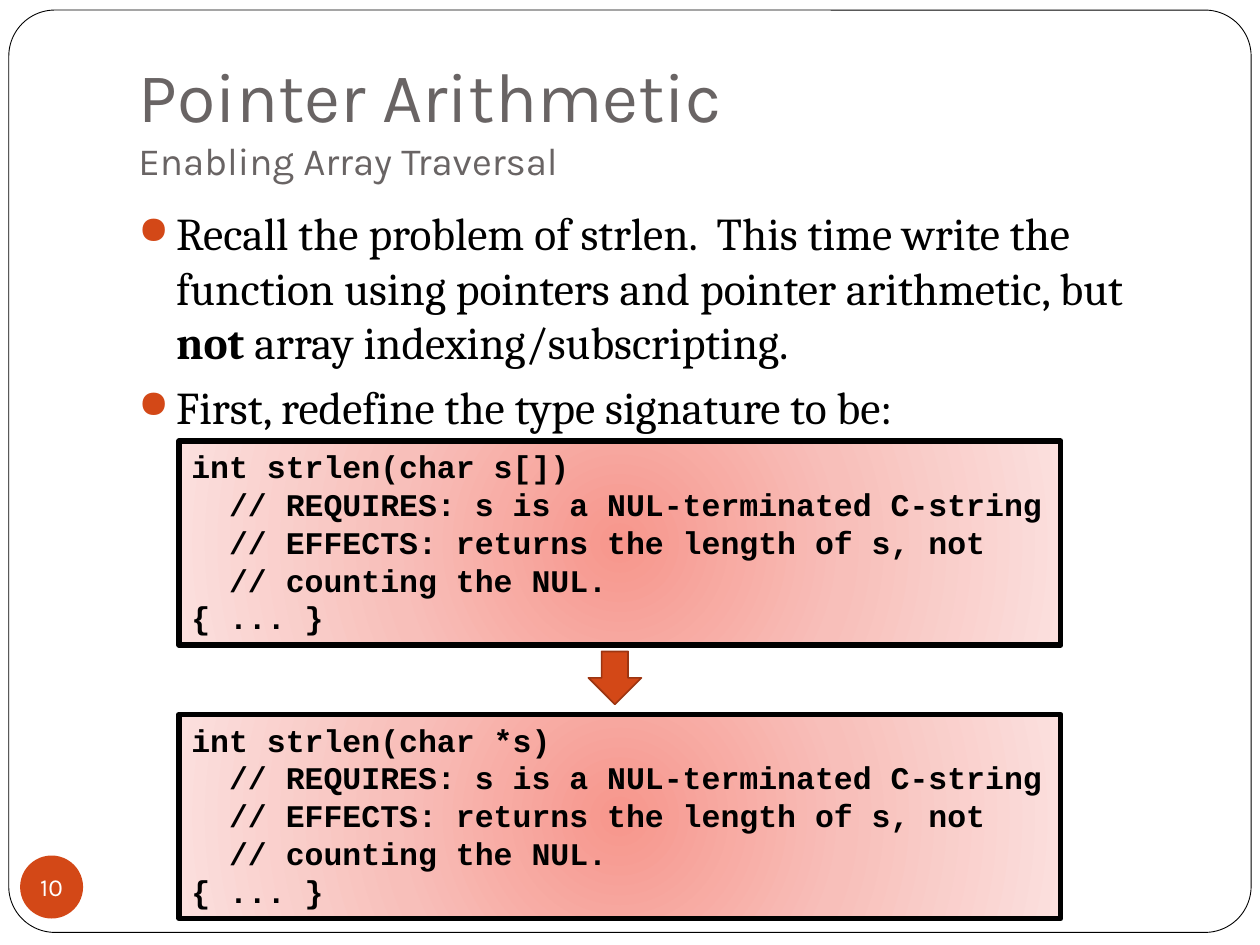
import pptx
import pptx.util
import pptx.dml.color
import pptx.enum.shapes
import pptx.enum.text
import pptx.oxml
import pptx.oxml.ns
import lxml.etree

Inches = pptx.util.Inches
Pt = pptx.util.Pt
Shape = pptx.enum.shapes.MSO_SHAPE
Anchor = pptx.enum.text.MSO_ANCHOR
Align = pptx.enum.text.PP_ALIGN

COLORS = {
    "paper": "FFFFFF",
    "ink": "000000",
    "heading": "696464",
    "accent": "D34817",
    "accent_edge": "9C3511",
}
CODE_GRADIENT = [(0, "F7968C"), (50, "F8BFBA"), (100, "FBE0DE")]
CODE_COMMENTS = [
    "  // REQUIRES: s is a NUL-terminated C-string",
    "  // EFFECTS: returns the length of s, not",
    "  // counting the NUL.",
    "{ ... }",
]


class SlideBuilder:
    heading_font = "Karla"
    body_font = "Cambria"
    code_font = "Courier New"

    def __init__(self, deck):
        self.page = deck.slides.add_slide(deck.slide_layouts[6])

    def color(self, name):
        return pptx.dml.color.RGBColor.from_string(COLORS[name])

    def span(self, para, text, font, size, color, bold=False):
        span = para.add_run()
        span.text = text
        span.font.name = font
        span.font.size = Pt(size)
        span.font.bold = bold
        span.font.color.rgb = self.color(color)

    def shape(self, kind, area, fill=None, line=None, width=1):
        box = self.page.shapes.add_shape(kind, *map(Inches, area))
        box.shadow.inherit = False
        if fill:
            box.fill.solid()
            box.fill.fore_color.rgb = self.color(fill)
        if line:
            box.line.color.rgb = self.color(line)
            box.line.width = Pt(width)
        else:
            box.line.fill.background()
        return box

    def text_frame(self, area, anchor):
        frame = self.page.shapes.add_textbox(*map(Inches, area)).text_frame
        frame.word_wrap = True
        frame.vertical_anchor = anchor
        return frame

    def title(self, area, heading, subheading):
        frame = self.text_frame(area, Anchor.BOTTOM)
        frame.margin_bottom = Inches(0.1)
        para = frame.paragraphs[0]
        self.span(para, heading, self.heading_font, 40, "heading")
        para.add_line_break()
        self.span(para, subheading, self.heading_font, 22, "heading")

    def bullet(self, para):
        props = para._p.get_or_add_pPr()
        props.set("marL", str(Inches(0.3)))
        props.set("indent", str(Inches(-0.3)))
        para.space_before = Pt(5.8)
        qn = pptx.oxml.ns.qn
        tint = lxml.etree.SubElement(props, qn("a:buClr"))
        lxml.etree.SubElement(tint, qn("a:srgbClr"), val=COLORS["accent"])
        lxml.etree.SubElement(props, qn("a:buSzPct"), val="85000")
        lxml.etree.SubElement(props, qn("a:buChar"), char="●")

    def bullets(self, area, items):
        frame = self.text_frame(area, Anchor.TOP)
        for index, item in enumerate(items):
            para = frame.add_paragraph() if index else frame.paragraphs[0]
            self.bullet(para)
            for text, bold in item:
                self.span(para, text, self.body_font, 26, "ink", bold)

    def radial_fill(self, box, stops):
        box.fill.background()
        marks = "".join(
            f'<a:gs pos="{place * 1000}"><a:srgbClr val="{tint}"/></a:gs>'
            for place, tint in stops
        )
        gradient = pptx.oxml.parse_xml(
            f'<a:gradFill {pptx.oxml.ns.nsdecls("a")} rotWithShape="1">'
            f"<a:gsLst>{marks}</a:gsLst>"
            '<a:path path="circle"><a:fillToRect l="50000" t="50000" '
            'r="50000" b="50000"/></a:path></a:gradFill>'
        )
        props = box._element.spPr
        props.replace(props.find(pptx.oxml.ns.qn("a:noFill")), gradient)

    def code(self, area, lines):
        box = self.shape(Shape.RECTANGLE, area, line="ink", width=3)
        self.radial_fill(box, CODE_GRADIENT)
        frame = box.text_frame
        frame.word_wrap = True
        frame.vertical_anchor = Anchor.TOP
        frame.auto_size = pptx.enum.text.MSO_AUTO_SIZE.SHAPE_TO_FIT_TEXT
        for index, line in enumerate(lines):
            para = frame.add_paragraph() if index else frame.paragraphs[0]
            para.alignment = Align.LEFT
            self.span(para, line, self.code_font, 18, "ink", True)

    def page_number(self, area, number):
        frame = self.shape(Shape.OVAL, area, "accent").text_frame
        frame.margin_left = frame.margin_right = 0
        frame.margin_top = frame.margin_bottom = 0
        frame.word_wrap = False
        frame.vertical_anchor = Anchor.MIDDLE
        para = frame.paragraphs[0]
        para.alignment = Align.CENTER
        self.span(para, number, self.heading_font, 14, "paper")


def main():
    deck = pptx.Presentation()
    deck.slide_width = Inches(10)
    deck.slide_height = Inches(7.5)
    slide = SlideBuilder(deck)

    border = slide.shape(
        Shape.ROUNDED_RECTANGLE, (0.07, 0.08, 9.86, 7.32), "paper", "ink", 0.5
    )
    border.adjustments[0] = 0.05
    slide.title((1, 0.3, 8.5, 1.25), "Pointer Arithmetic", "Enabling Array Traversal")
    slide.bullets((1, 1.58, 8.5, 5), [
        [
            ("Recall the problem of strlen.  This time write the function "
             "using pointers and pointer arithmetic, but ", False),
            ("not ", True),
            ("array indexing/subscripting.", False),
        ],
        [("First, redefine the type signature to be:", False)],
    ])
    for top, parameter in ((3.5, "char s[]"), (5.67, "char *s")):
        signature = f"int strlen({parameter})"
        slide.code((1.42, top, 7, 1.62), [signature, *CODE_COMMENTS])
    slide.shape(
        Shape.DOWN_ARROW, (4.67, 5.17, 0.42, 0.42), "accent", "accent_edge"
    )
    slide.page_number((0.16, 6.79, 0.5, 0.5), "10")
    deck.save("out.pptx")


if __name__ == "__main__":
    main()
